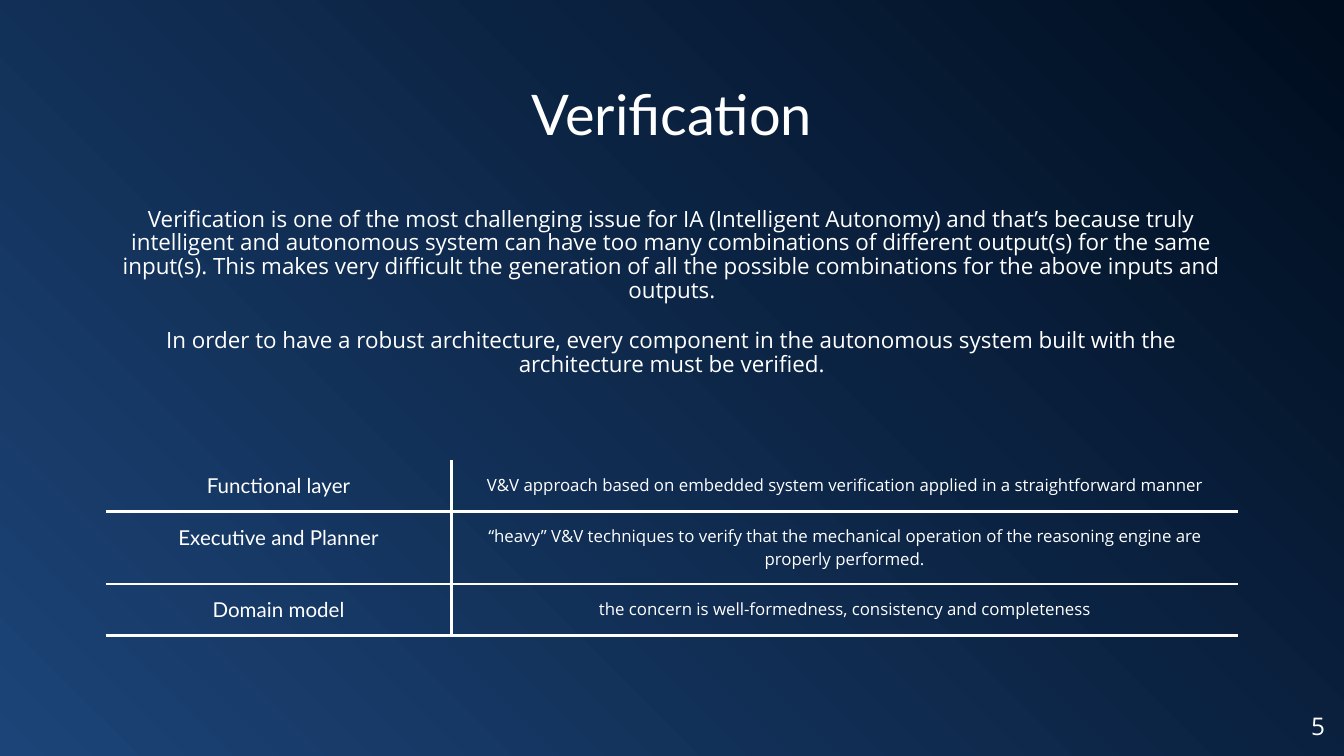
from dataclasses import dataclass

from lxml import etree
from pptx import Presentation
from pptx import util as u
from pptx.dml.color import RGBColor
from pptx.enum import text
from pptx.oxml import ns

CENTER, RIGHT = text.PP_ALIGN.CENTER, text.PP_ALIGN.RIGHT
TOP, MIDDLE = text.MSO_ANCHOR.TOP, text.MSO_ANCHOR.MIDDLE
MARGINS = {f"margin_{side}": u.Cm(0.25) for side in ("left", "right", "top", "bottom")}


@dataclass(frozen=True)
class Theme:
    ink: str = "FFFFFF"
    glow: str = "1C4478"
    night: str = "000D1E"
    heading_font: str = "Lato"
    body_font: str = "Open Sans"
    title_size: float = 30
    body_size: float = 12
    label_size: float = 11
    detail_size: float = 9
    number_size: float = 13
    rule_width: float = 1.5


def apply(target, values):
    for name, value in values.items():
        setattr(target, name, value)


class SlideBuilder:
    def __init__(self, page, theme):
        self.page = page
        self.theme = theme

    def background(self):
        fill = self.page.background.fill
        fill.gradient()
        fill.gradient_angle = 45
        stops = zip(fill.gradient_stops, (self.theme.glow, self.theme.night))
        for position, (stop, color) in enumerate(stops):
            stop.position = position
            stop.color.rgb = RGBColor.from_string(color)

    def add_span(self, para, words, font, size, align=CENTER):
        para.alignment = align
        span = para.add_run()
        span.text = words
        apply(span.font, {"name": font, "size": u.Pt(size)})
        span.font.color.rgb = RGBColor.from_string(self.theme.ink)

    def text_box(self, place, paragraphs, font, size, align=CENTER, anchor=TOP,
                 line_spacing=1.0, gap=0):
        box = self.page.shapes.add_textbox(*map(u.Cm, place))
        frame = box.text_frame
        apply(frame, {"word_wrap": True, "vertical_anchor": anchor, **MARGINS})
        for index, words in enumerate(paragraphs):
            para = frame.add_paragraph() if index else frame.paragraphs[0]
            para.line_spacing = line_spacing
            if index:
                para.space_before = u.Pt(gap)
            self.add_span(para, words, font, size, align)

    def borders(self, cell, visible):
        """Rule the sides named in visible (L, R, T, B) and clear the others."""
        properties = cell._tc.get_or_add_tcPr()
        for index, side in enumerate("LRTB"):
            line = etree.Element(ns.qn(f"a:ln{side}"), w=str(u.Pt(self.theme.rule_width)))
            if side in visible:
                fill = etree.SubElement(line, ns.qn("a:solidFill"))
                etree.SubElement(fill, ns.qn("a:srgbClr"), val=self.theme.ink)
            else:
                etree.SubElement(line, ns.qn("a:noFill"))
            properties.insert(index, line)

    def table(self, left, top, widths, heights, rows):
        theme = self.theme
        frame = self.page.shapes.add_table(
            len(rows), len(widths), u.Cm(left), u.Cm(top),
            u.Cm(sum(widths)), u.Cm(sum(heights)))
        table = frame.table
        apply(table, {"first_row": False, "horz_banding": False})
        for column, width in zip(table.columns, widths):
            column.width = u.Cm(width)
        for row, height in zip(table.rows, heights):
            row.height = u.Cm(height)
        styles = ((theme.heading_font, theme.label_size, "R"),
                  (theme.body_font, theme.detail_size, "L"))
        for r, row in enumerate(rows):
            for c, (words, (font, size, inner_side)) in enumerate(zip(row, styles)):
                cell = table.cell(r, c)
                apply(cell, {"vertical_anchor": TOP, **MARGINS})
                cell.fill.background()
                self.borders(cell, inner_side + ("TB" if r else "B"))
                self.add_span(cell.text_frame.paragraphs[0], words, font, size)


BODY = (
    "Verification is one of the most challenging issue for IA (Intelligent Autonomy) "
    "and that’s because truly intelligent and autonomous system can have too many "
    "combinations of different output(s) for the same input(s). This makes very "
    "difficult the generation of all the possible combinations for the above inputs "
    "and outputs.",
    "In order to have a robust architecture, every component in the autonomous system "
    "built with the architecture must be verified.",
)
LAYERS = (
    ("Functional layer",
     "V&V approach based on embedded system verification applied in a "
     "straightforward manner"),
    ("Executive and Planner",
     "“heavy” V&V techniques to verify that the mechanical operation of the "
     "reasoning engine are properly performed."),
    ("Domain model",
     "the concern is well-formedness, consistency and completeness"),
)


def main():
    deck = Presentation()
    apply(deck, {"slide_width": u.Cm(25.4), "slide_height": u.Cm(14.29)})
    theme = Theme()
    builder = SlideBuilder(deck.slides.add_slide(deck.slide_layouts[6]), theme)
    left, width = 2, 21.4

    builder.background()
    builder.text_box((left, 1.25, width, 1.6), ["Verification"],
                     theme.heading_font, theme.title_size)
    builder.text_box((left, 3.69, width, 4.17), BODY, theme.body_font, theme.body_size,
                     line_spacing=0.88, gap=14.4)
    builder.table(left, 8.7, (6.53, 14.86), (0.97, 1.37, 0.97), LAYERS)
    builder.text_box((23.77, 13.18, 1.52, 1.09), ["5"], theme.body_font,
                     theme.number_size, align=RIGHT, anchor=MIDDLE)
    deck.save("out.pptx")


if __name__ == "__main__":
    main()
